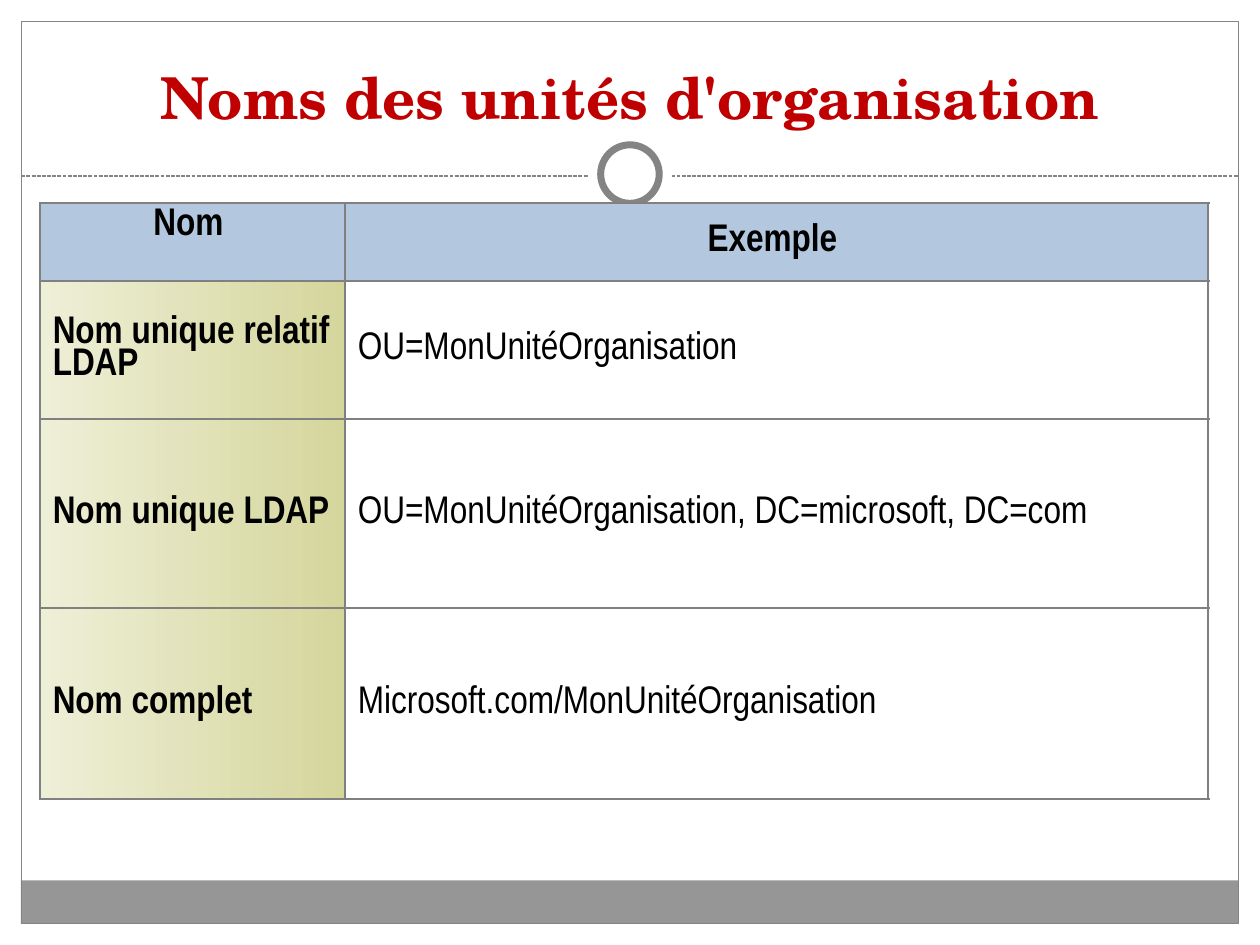
from lxml import etree
from pptx import Presentation, util as u
from pptx.dml.color import RGBColor
from pptx.enum import dml, shapes, text
from pptx.oxml import ns

HUES = {"white": "FFFFFF", "black": "000000", "title": "C00000",
        "frame": "848484", "bar": "969696", "grid": "808080",
        "head": "B3C8DF", "pale": "EEEFD7", "olive": "D5D69C"}
MID = text.MSO_ANCHOR.MIDDLE
TOP = text.MSO_ANCHOR.TOP
LEFT = text.PP_ALIGN.LEFT
CENTER = text.PP_ALIGN.CENTER


def hue(name):
    return RGBColor.from_string(HUES[name])


class Page:
    """Holds the slide and its shared text style."""

    def __init__(self, slide):
        self.slide = slide
        self.base = {"name": "Arial Narrow", "size": u.Pt(22), "bold": True}

    def label(self, frame, words, align, color="black", **style):
        para = frame.paragraphs[0]
        para.alignment = align
        run = para.add_run()
        run.text = words
        for key, val in {**self.base, **style}.items():
            setattr(run.font, key, val)
        run.font.color.rgb = hue(color)
        return para

    def shape(self, kind, box, fill=None, line=None, width=0.75):
        item = self.slide.shapes.add_shape(kind, *map(u.Cm, box))
        item.shadow.inherit = False
        if fill:
            item.fill.solid()
            item.fill.fore_color.rgb = hue(fill)
        else:
            item.fill.background()
        if line:
            item.line.color.rgb = hue(line)
            item.line.width = u.Pt(width)
        else:
            item.line.fill.background()

    def rule(self, ends, color):
        item = self.slide.shapes.add_connector(
            shapes.MSO_CONNECTOR.STRAIGHT, *map(u.Cm, ends))
        look = {"width": u.Pt(0.75), "dash_style": dml.MSO_LINE.SQUARE_DOT}
        for key, val in look.items():
            setattr(item.line, key, val)
        item.line.color.rgb = hue(color)
        etree.SubElement(item._element.spPr, ns.qn("a:effectLst"))

    def title(self, box, words):
        frame = self.slide.shapes.add_textbox(*map(u.Cm, box)).text_frame
        frame.word_wrap = True
        frame.vertical_anchor = text.MSO_ANCHOR.BOTTOM
        self.label(frame, words, CENTER, "title",
                   name="TeX Gyre Schola", size=u.Pt(33))

    def edge(self, cell, color, width):
        """Draw all four borders, which must precede the fill in the XML."""
        props = cell._tc.get_or_add_tcPr()
        for spot, side in enumerate("LRTB"):
            line = etree.Element(ns.qn(f"a:ln{side}"), w=str(u.Pt(width)))
            fill = etree.SubElement(line, ns.qn("a:solidFill"))
            etree.SubElement(fill, ns.qn("a:srgbClr"), val=HUES[color])
            props.insert(spot, line)

    def paint(self, cell, fills):
        """Fill with one colour, or with a gradient from left to right."""
        if len(fills) == 1:
            cell.fill.solid()
            cell.fill.fore_color.rgb = hue(fills[0])
            return
        cell.fill.gradient()
        cell.fill.gradient_angle = 0
        for stop, name in zip(cell.fill.gradient_stops, fills):
            stop.color.rgb = hue(name)

    def table(self, box, cols, rows, data):
        grid = self.slide.shapes.add_table(
            len(rows), len(cols), *map(u.Cm, box)).table
        grid.first_row = grid.horz_banding = False
        for col, width in zip(grid.columns, cols):
            col.width = u.Cm(width)
        for row, height in zip(grid.rows, rows):
            row.height = u.Cm(height)
        for r, line in enumerate(data):
            for c, words in enumerate(line):
                cell = grid.cell(r, c)
                head, first = r == 0, c == 0
                cell.vertical_anchor = TOP if head and first else MID
                para = self.label(cell.text_frame, words,
                                  CENTER if head else LEFT,
                                  bold=head or first)
                para.line_spacing = 0.9
                if head:
                    fills = ["head"]
                else:
                    fills = ["pale", "olive"] if first else ["white"]
                self.paint(cell, fills)
                self.edge(cell, "grid", 1.5)


def main():
    deck = Presentation()
    deck.slide_width, deck.slide_height = u.Cm(25.4), u.Cm(19.05)
    page = Page(deck.slides.add_slide(deck.slide_layouts[6]))
    rect, oval = shapes.MSO_SHAPE.RECTANGLE, shapes.MSO_SHAPE.OVAL

    page.shape(rect, (0.42, 17.75, 24.54, 0.87), "bar")
    page.shape(rect, (0.43, 0.43, 24.54, 18.19), line="frame")
    page.rule((0.43, 3.55, 24.97, 3.55), "frame")
    page.shape(oval, (11.85, 2.66, 1.7, 1.7), "white")
    page.shape(oval, (12.11, 2.92, 1.18, 1.18), "white", "frame", 4)
    page.title((0.85, 0.64, 23.7, 2.12), "Noms des unités d'organisation")
    page.table((0.81, 4.09, 23.55, 12.01), (6.15, 17.4),
               (1.57, 2.79, 3.81, 3.84), [
        ("Nom ", "Exemple "),
        ("Nom unique relatif LDAP", "OU=MonUnitéOrganisation"),
        ("Nom unique LDAP ",
         "OU=MonUnitéOrganisation, DC=microsoft, DC=com "),
        ("Nom complet ", "Microsoft.com/MonUnitéOrganisation")])
    deck.save("out.pptx")


if __name__ == "__main__":
    main()
